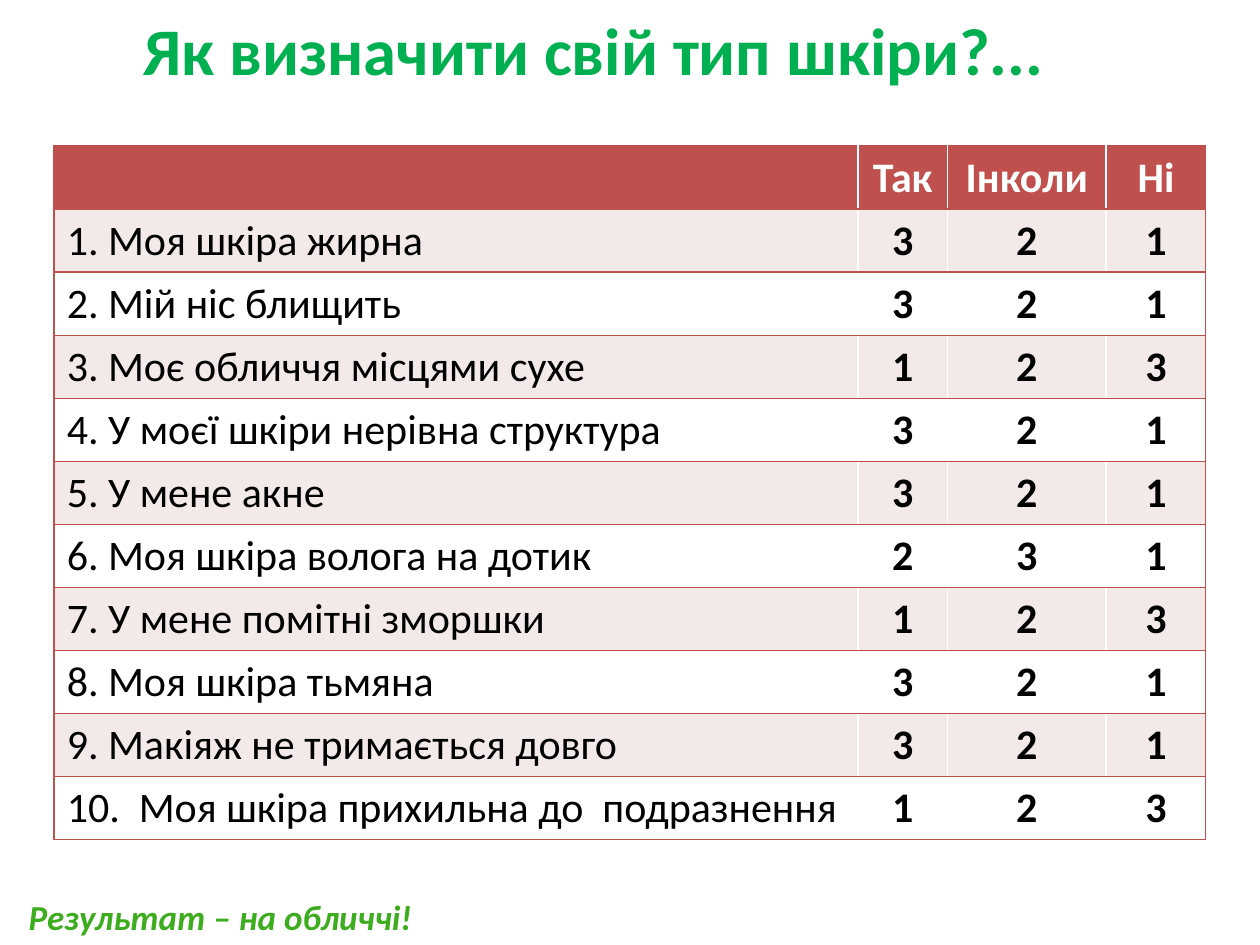
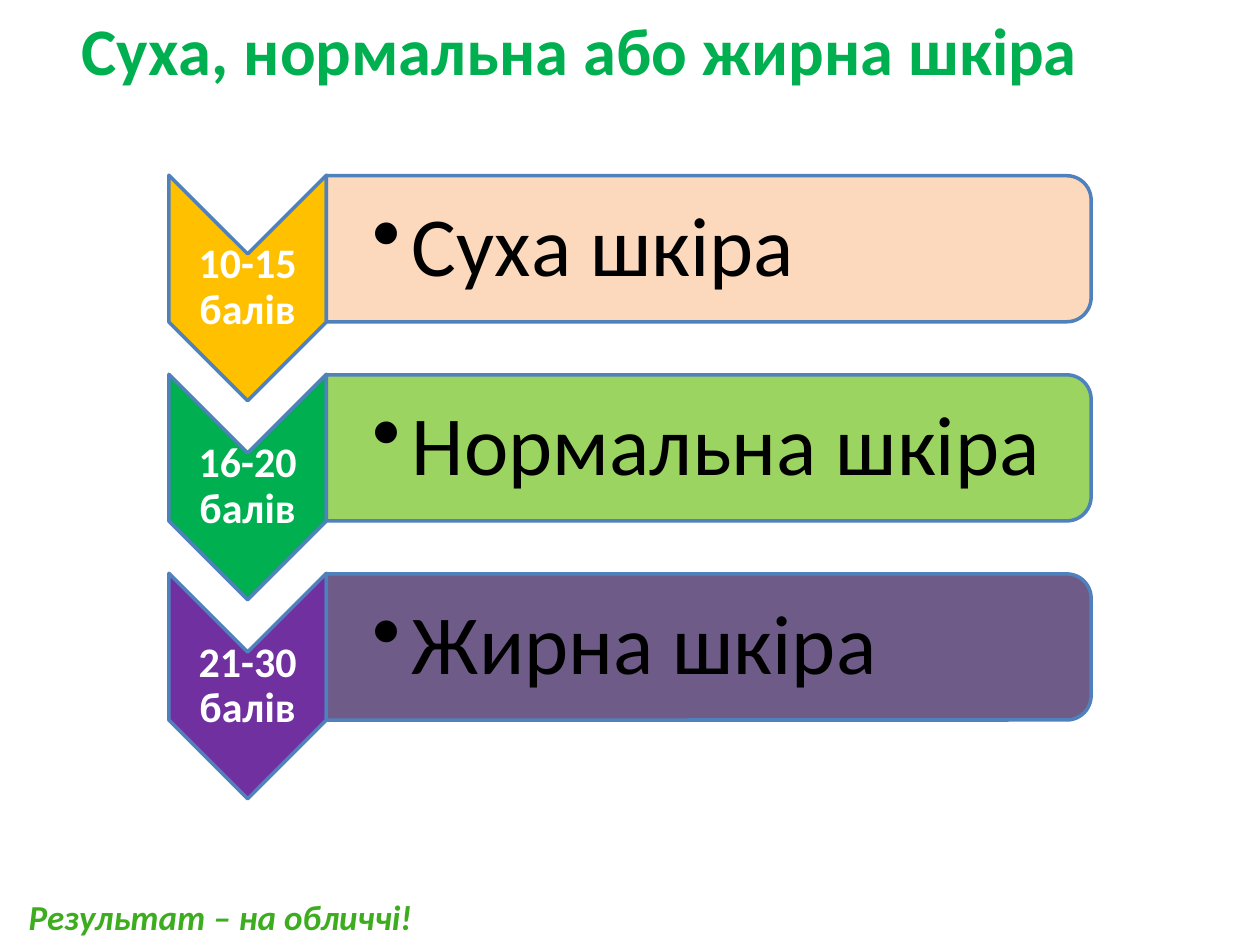
"""Build two slides: a skin type questionnaire and the key to its scores."""
from typing import NamedTuple

from lxml.etree import SubElement
from pptx import Presentation
from pptx.dml.color import RGBColor
from pptx.enum.shapes import MSO_SHAPE
from pptx.enum.text import MSO_ANCHOR, PP_ALIGN
from pptx.oxml.ns import qn
from pptx.util import Emu, Inches, Pt

WIDTH, HEIGHT = Inches(10), Inches(7.5)
COLS, ROWS = 100, 75

WHITE = RGBColor(0xFF, 0xFF, 0xFF)
BLACK = RGBColor(0, 0, 0)
TITLE_GREEN = RGBColor(0x00, 0xB0, 0x50)
FOOTER_GREEN = RGBColor(0x3D, 0xAD, 0x1F)
RED = RGBColor(0xC0, 0x50, 0x4D)
PINK = RGBColor(0xF4, 0xE9, 0xE9)
OUTLINE = RGBColor(0x4F, 0x81, 0xBD)
AMBER = RGBColor(0xFF, 0xC0, 0x00)
PEACH = RGBColor(0xFC, 0xD5, 0xB5)
LIME = RGBColor(0x92, 0xD0, 0x50)
PURPLE = RGBColor(0x70, 0x30, 0xA0)
DUSK = RGBColor(0x60, 0x4A, 0x7B)

TITLE = dict(size=Pt(38), bold=True, color=TITLE_GREEN)
FOOTER = dict(size=Pt(20), bold=True, italic=True, color=FOOTER_GREEN)
HEADER = dict(size=Pt(24), bold=True, color=WHITE)
QUESTION = dict(size=Pt(24), bold=False, color=BLACK)
SCORE = dict(size=Pt(24), bold=True, color=BLACK)
SKIN = dict(size=Pt(48), bold=False, color=BLACK)


class Box(NamedTuple):
    """Left, top, width and height in columns and rows of the slide grid."""
    x: float
    y: float
    w: float
    h: float

    def emu(self) -> tuple:
        """Return the box in slide units."""
        col, row = WIDTH / COLS, HEIGHT / ROWS
        return tuple(Emu(round(n)) for n in
                     (self.x * col, self.y * row, self.w * col, self.h * row))

    def turned(self) -> tuple:
        """Return the frame that fills this box after a quarter turn."""
        x, y, w, h = self.emu()
        return x + (w - h) // 2, y + (h - w) // 2, h, w


class Question(NamedTuple):
    """A statement with its scores for yes, sometimes and no."""
    text: str
    scores: tuple


class SkinType(NamedTuple):
    """A score range, the skin type it means and their colours."""
    points: str
    name: str
    arrow: RGBColor
    bar: RGBColor


RISING, FALLING = (1, 2, 3), (3, 2, 1)
ANSWERS = ("Так", "Інколи", "Ні")
QUESTIONS = (
    Question("1. Моя шкіра жирна", FALLING),
    Question("2. Мій ніс блищить", FALLING),
    Question("3. Моє обличчя місцями сухе", RISING),
    Question("4. У моєї шкіри нерівна структура", FALLING),
    Question("5. У мене акне", FALLING),
    Question("6. Моя шкіра волога на дотик", (2, 3, 1)),
    Question("7. У мене помітні зморшки", RISING),
    Question("8. Моя шкіра тьмяна", FALLING),
    Question("9. Макіяж не тримається довго", FALLING),
    Question("10.  Моя шкіра прихильна до  подразнення", RISING),
)
SKIN_TYPES = (
    SkinType("10-15 балів", "Суха шкіра", AMBER, PEACH),
    SkinType("16-20 балів", "Нормальна шкіра", TITLE_GREEN, LIME),
    SkinType("21-30 балів", "Жирна шкіра", PURPLE, DUSK),
)
TABLE = Box(4.3, 11.6, 91.4, 55)
TABLE_COLS = (63.8, 7.1, 12.6, 7.9)
ARROW = Box(13.4, 13.9, 12.5, 17.9)
BAR = Box(25.9, 13.95, 60.7, 11.6)
STEP = 15.8


def write(tf, text: str, style: dict, align=PP_ALIGN.LEFT):
    """Write one styled paragraph and return it."""
    p = tf.paragraphs[0]
    p.alignment = align
    r = p.add_run()
    r.text = text
    r.font.name = "Calibri"
    for key, value in style.items():
        if key == "color":
            r.font.color.rgb = value
        else:
            setattr(r.font, key, value)
    return p


def add_text(s, box: Box, text: str, style: dict, align=PP_ALIGN.LEFT, **frame):
    """Add a wrapped text box and return its paragraph."""
    tf = s.shapes.add_textbox(*box.emu()).text_frame
    for key, value in dict(word_wrap=True, **frame).items():
        setattr(tf, key, value)
    return write(tf, text, style, align)


def add_turned(s, kind, box: Box, fill: RGBColor, opacity: int = 100) -> None:
    """Add an outlined preset shape turned by a quarter."""
    sp = s.shapes.add_shape(kind, *box.turned())
    sp.rotation = 90
    sp.shadow.inherit = False
    sp.fill.solid()
    sp.fill.fore_color.rgb = fill
    sp.line.color.rgb = OUTLINE
    sp.line.width = Pt(2)
    if opacity < 100:
        color = sp.fill._xPr.find(qn("a:solidFill"))[0]
        SubElement(color, qn("a:alpha"), val=str(opacity * 1000))


def add_border(cell, sides: str) -> None:
    """Draw the red border on the given sides of a cell."""
    tc_pr = cell._tc.get_or_add_tcPr()
    for side in sides:
        ln = SubElement(tc_pr, qn(f"a:ln{side}"), w=str(Pt(1)))
        fill = SubElement(ln, qn("a:solidFill"))
        SubElement(fill, qn("a:srgbClr"), val=str(RED))


def add_questions(s) -> None:
    """Add the questionnaire table."""
    rows = [("", *ANSWERS)] + [(q.text, *q.scores) for q in QUESTIONS]
    last = len(TABLE_COLS) - 1
    table = s.shapes.add_table(len(rows), last + 1, *TABLE.emu()).table
    for column, width in zip(table.columns, TABLE_COLS):
        column.width = Emu(round(width * WIDTH / COLS))
    for i, values in enumerate(rows):
        for j, value in enumerate(values):
            cell = table.cell(i, j)
            add_border(cell, {0: "LTB", last: "RTB"}.get(j, "TB"))
            cell.fill.solid()
            cell.fill.fore_color.rgb = RED if i == 0 else PINK if i % 2 else WHITE
            style = HEADER if i == 0 else SCORE if j else QUESTION
            align = PP_ALIGN.CENTER if j else PP_ALIGN.LEFT
            write(cell.text_frame, str(value), style, align)


def add_skin_type(s, skin: SkinType, index: int) -> None:
    """Add one score arrow with its skin type bar."""
    arrow, bar = (b._replace(y=b.y + index * STEP) for b in (ARROW, BAR))
    add_turned(s, MSO_SHAPE.CHEVRON, arrow, skin.arrow)
    margins = ("margin_left", "margin_top", "margin_right", "margin_bottom")
    middle = dict(vertical_anchor=MSO_ANCHOR.MIDDLE)
    label = arrow._replace(y=arrow.y + arrow.w / 2, h=arrow.h - arrow.w)
    p = add_text(s, label, skin.points, HEADER, PP_ALIGN.CENTER,
                 **middle, **dict.fromkeys(margins, Inches(0.02)))
    p.line_spacing = 0.9
    add_turned(s, MSO_SHAPE.ROUND_2_SAME_RECTANGLE, bar, skin.bar, 90)
    insets = dict.fromkeys(margins, Inches(0.03)) | dict(margin_left=Inches(0.37))
    p = add_text(s, bar, skin.name, SKIN, **middle, **insets)
    p.line_spacing = 0.9
    p_pr = p._p.get_or_add_pPr()
    p_pr.set("marL", str(Inches(0.31)))
    p_pr.set("indent", str(-Inches(0.31)))
    SubElement(p_pr, qn("a:buChar"), char="•")


def add_slide(prs, title: str, box: Box):
    """Add a blank slide with the shared title and footer."""
    s = prs.slides.add_slide(prs.slide_layouts[6])
    add_text(s, box, title, TITLE)
    add_text(s, Box(0, 70.6, 35, 4.4), "Результат – на обличчі!", FOOTER,
             PP_ALIGN.CENTER)
    return s


def main() -> None:
    """Build and save the slides."""
    prs = Presentation()
    prs.slide_width, prs.slide_height = WIDTH, HEIGHT
    s = add_slide(prs, "Як визначити свій тип шкіри?...", Box(10.4, 0.2, 79.3, 7.4))
    add_questions(s)
    s = add_slide(prs, "Суха, нормальна або жирна шкіра", Box(5.5, 0.2, 89, 7.4))
    for index, skin in enumerate(SKIN_TYPES):
        add_skin_type(s, skin, index)
    prs.save("out.pptx")


if __name__ == "__main__":
    main()
